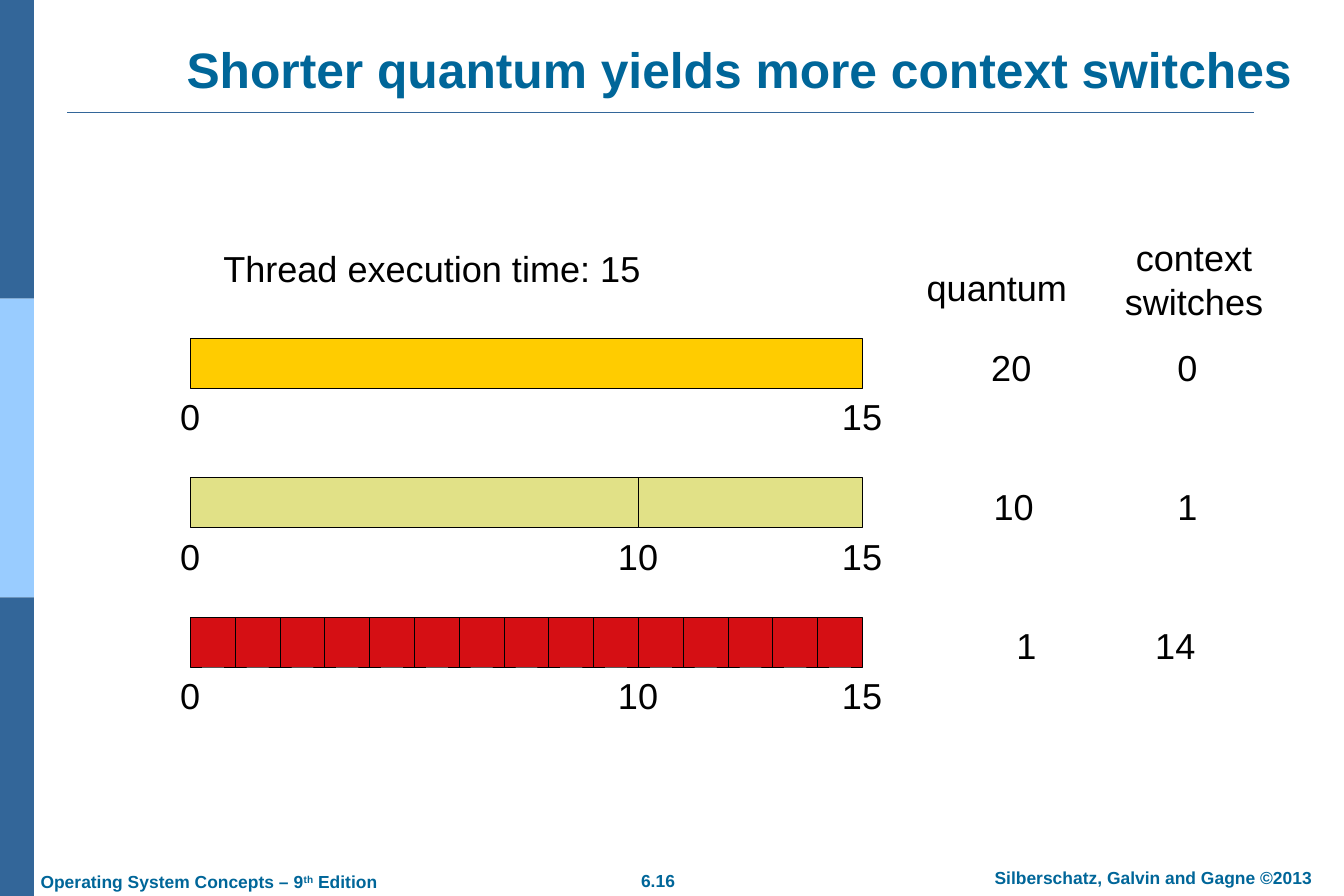
"""Build the slide on quantum length and context switches."""
import pptx
import pptx.util
import pptx.dml.color
import pptx.enum.shapes
import pptx.enum.text
from lxml import etree

Cm = pptx.util.Cm
Pt = pptx.util.Pt
RGB = pptx.dml.color.RGBColor
ALIGN = pptx.enum.text.PP_ALIGN
ANCHOR = pptx.enum.text.MSO_ANCHOR
RECT = pptx.enum.shapes.MSO_SHAPE.RECTANGLE
LINE = pptx.enum.shapes.MSO_CONNECTOR.STRAIGHT

BLACK = RGB(0x00, 0x00, 0x00)
WHITE = RGB(0xFF, 0xFF, 0xFF)
TEAL = RGB(0x00, 0x66, 0x99)
NAVY = RGB(0x33, 0x66, 0x99)
SKY = RGB(0x99, 0xCC, 0xFF)
GOLD = RGB(0xFF, 0xCC, 0x00)
LIME = RGB(0xE1, 0xE1, 0x87)
RED = RGB(0xD5, 0x0F, 0x14)

FONT = "Arial"
WIDE, HIGH = 38.1, 25.4
TITLE = "Shorter quantum yields more context switches"
TOTAL = 15
# pylint: disable=invalid-name
BARS = [
    (20, GOLD, (0, 15), (27.74, "20"), (33.02, "0")),
    (10, LIME, (0, 10, 15), (27.81, "10"), (33.02, "1")),
    (1, RED, (0, 10, 15), (28.45, "1"), (32.39, "14")),
]
HEADS = [
    ("Thread execution time: 15", 5.97, 6.81, 12.67, 1.6, ALIGN.LEFT),
    ("quantum", 25.91, 7.34, 4.75, 1.6, ALIGN.LEFT),
    ("context\vswitches", 31.5, 6.5, 4.7, 2.84, ALIGN.CENTER),
]
BOOK = ("Operating System Concepts – 9", "th", " Edition")
FEET = [
    ("6.16", 17.78, 24.49, 1.75, ALIGN.CENTER),
    ("Silberschatz, Galvin and Gagne ©2013", 27.05, 24.41, 11.3, ALIGN.CENTER),
    ("", 0.79, 24.51, 10.36, ALIGN.LEFT),
]
LEFT, TOP, UNIT, DEEP, STEP = 5.4, 9.6, 1.27, 1.41, 3.95
WIDTHS = {1: 1.3, 2: 1.88}


def style(frame, size, color, bold=False, align=ALIGN.LEFT):
    """Set margins, alignment and font of a text frame."""
    frame.margin_left = frame.margin_right = Cm(0.36)
    frame.margin_top = frame.margin_bottom = Cm(0.18)
    for para in frame.paragraphs:
        para.alignment = align
        for run in para.runs:
            font = run.font
            font.name, font.size, font.bold = FONT, Pt(size), bold
            font.color.rgb = color


def label(slide, text, x, y, w, h=1.6, size=29, color=BLACK, bold=False,
          align=ALIGN.LEFT):
    """Add one unwrapped text box."""
    box = slide.shapes.add_textbox(Cm(x), Cm(y), Cm(w), Cm(h))
    frame = box.text_frame
    frame.word_wrap = False
    if isinstance(text, str):
        frame.text = text
    else:
        for part in text:
            frame.paragraphs[0].add_run().text = part
    style(frame, size, color, bold, align)
    return frame


def block(slide, x, y, w, h, fill, edge=None):
    """Add one filled rectangle."""
    rect = slide.shapes.add_shape(RECT, Cm(x), Cm(y), Cm(w), Cm(h))
    rect.shadow.inherit = False
    rect.fill.solid()
    rect.fill.fore_color.rgb = fill
    if edge is None:
        rect.line.fill.background()
    else:
        rect.line.color.rgb = edge
        rect.line.width = Pt(0.75)


def frame_up(slide):
    """Add the side band, rule, footers and title."""
    third = HIGH / 3
    for i, fill in enumerate((NAVY, SKY, NAVY)):
        block(slide, 0, i * third, 0.96, third, fill)
    rule = slide.shapes.add_connector(LINE, Cm(1.9), Cm(3.19), Cm(35.56), Cm(3.19))
    rule.line.color.rgb = NAVY
    rule.line.width = Pt(1.5)
    etree.SubElement(rule._element.spPr, pptx.oxml.ns.qn("a:effectLst"))
    for text, x, y, w, align in FEET:
        foot = label(slide, text or BOOK, x, y, w, 0.97, 14, TEAL, True, align)
    foot.paragraphs[0].runs[1]._r.get_or_add_rPr().set("baseline", "30000")

    title = slide.shapes.title
    title.left, title.top = Cm(3.81), Cm(-1.27)
    title.width, title.height = Cm(34.29), Cm(4.24)
    frame = title.text_frame
    frame.text = TITLE
    frame.word_wrap = True
    frame.auto_size = pptx.enum.text.MSO_AUTO_SIZE.NONE
    frame.vertical_anchor = ANCHOR.BOTTOM
    style(frame, 40, TEAL, True, ALIGN.CENTER)


def main():
    """Build and save the slide."""
    deck = pptx.Presentation()
    deck.slide_width, deck.slide_height = Cm(WIDE), Cm(HIGH)
    slide = deck.slides.add_slide(deck.slide_layouts[5])
    slide.background.fill.solid()
    slide.background.fill.fore_color.rgb = WHITE
    frame_up(slide)
    for text, x, y, w, h, align in HEADS:
        label(slide, text, x, y, w, h, align=align)
    for row, (slot, fill, marks, *cells) in enumerate(BARS):
        y = TOP + row * STEP
        for start in range(0, TOTAL, slot):
            span = min(slot, TOTAL - start)
            block(slide, LEFT + start * UNIT, y, span * UNIT, DEEP, fill, BLACK)
        for mark in marks:
            w = WIDTHS[len(str(mark))]
            label(slide, str(mark), LEFT + mark * UNIT - w / 2, y + DEEP, w)
        for x, text in cells:
            label(slide, text, x, y, WIDTHS[len(text)])
    deck.save("out.pptx")


if __name__ == "__main__":
    main()
